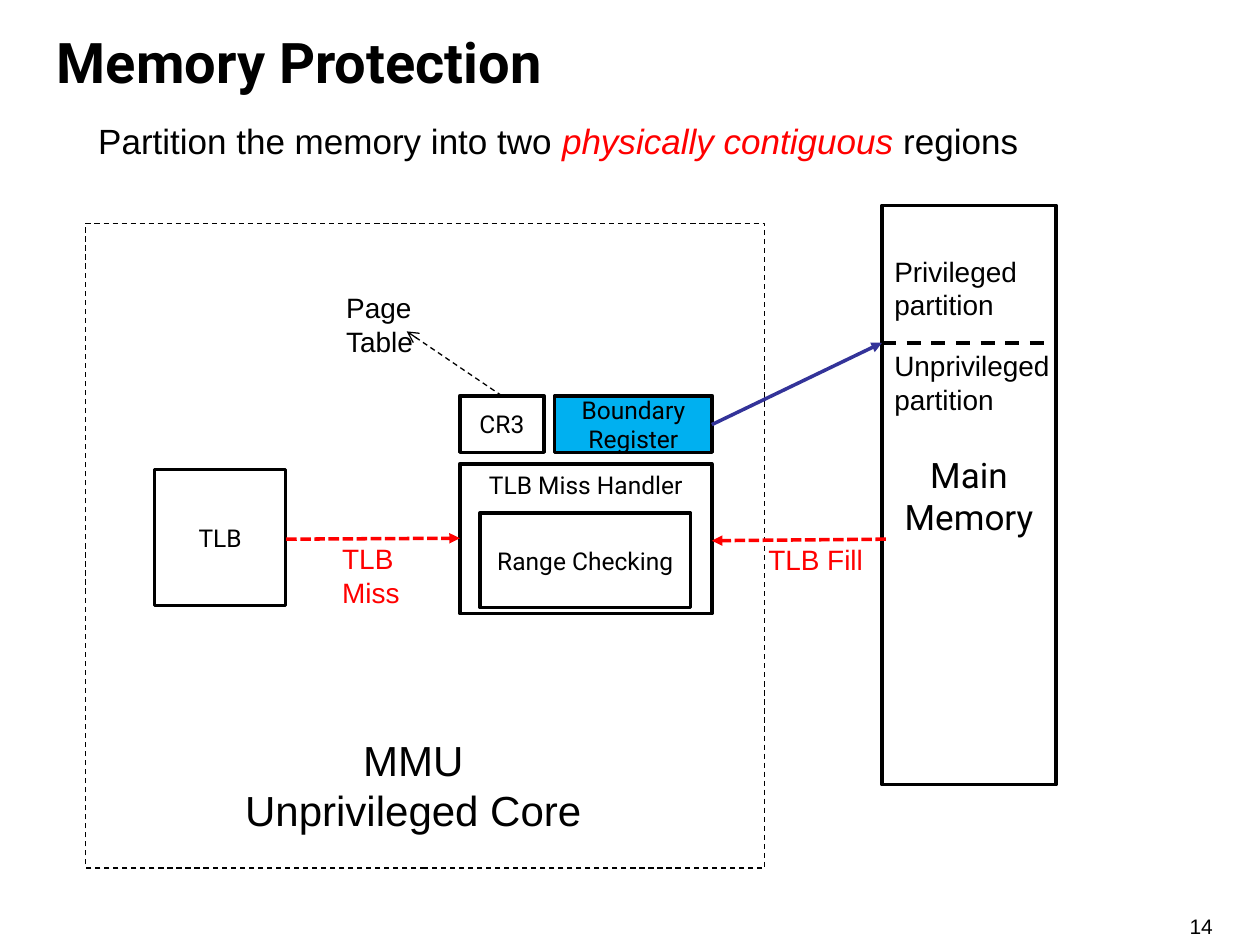
from lxml import etree
from pptx import Presentation
from pptx.dml.color import RGBColor
from pptx.enum.dml import MSO_LINE
from pptx.enum.shapes import MSO_CONNECTOR, MSO_SHAPE
from pptx.enum.text import MSO_ANCHOR, PP_ALIGN
from pptx.oxml.ns import qn
from pptx.util import Cm, Pt

DASH, DOT = MSO_LINE.DASH, MSO_LINE.SQUARE_DOT
TOP, MIDDLE = MSO_ANCHOR.TOP, MSO_ANCHOR.MIDDLE
LEFT, CENTER = PP_ALIGN.LEFT, PP_ALIGN.CENTER

THEME = {
    "black": "000000", "red": "FF0000", "blue": "333399", "cyan": "00B0F0",
    "heading_font": "Roboto", "body_font": "Arial",
    "title": 32, "large": 24, "medium": 20, "label": 16, "box": 14, "page": 12,
    "thick": 2, "thin": 0.75,
}

# Text is a list of paragraphs; a paragraph is a list of (text, emphasised) runs or a string.
TITLE = ["Memory Protection"]
TITLE_AREA = (0.89, 0.18, 23.65, 2.11)
STATEMENT = [[("Partition the memory into two ", False),
              ("physically contiguous", True), (" regions", False)]]

# Areas are left, top, width, height in centimetres.
BOXES = [
    (["TLB"], (3.12, 9.47, 2.64, 2.74), {}),
    (["TLB Miss Handler"], (9.27, 9.35, 5.08, 3.02), {"anchor": TOP}),
    (["CR3"], (9.27, 7.98, 1.7, 1.14), {}),
    (["Boundary", "Register"], (11.18, 7.98, 3.18, 1.14), {"fill": "cyan"}),
    (["Range Checking"], (9.68, 10.34, 4.24, 1.91), {}),
    (["Main Memory"], (17.78, 4.14, 3.51, 11.68), {"size": "medium", "inset": 0.13}),
    ([], (1.73, 4.5, 13.69, 13), {"weight": "thin", "dash": DASH}),
]
LABELS = [
    (STATEMENT, (1.73, 2.29, 20.52, 1.12), {"size": "medium"}),
    (["Page Table"], (6.73, 5.74, 2.97, 1.63), {}),
    (["Privileged partition"], (17.78, 5, 3.38, 1.63), {}),
    (["Unprivileged partition"], (17.78, 6.91, 3.96, 1.63), {}),
    (["MMU", "Unprivileged Core"], (3.91, 14.68, 8.84, 2.31),
     {"size": "large", "align": CENTER}),
    (["TLB", "Miss"], (6.65, 10.8, 1.73, 1.63), {"color": "red"}),
    (["TLB Fill"], (15.24, 10.82, 2.44, 0.94), {"color": "red", "wrap": False}),
    (["14"], (23.98, 18.42, 1.3, 0.51), {"size": "page", "inset": 0}),
]
LINES = [
    ((10.12, 7.98), (8.2, 6.68), {"weight": "thin", "dash": DASH, "arrow": "arrow"}),
    ((17.78, 6.91), (21.16, 6.91), {"dash": DASH}),
    ((14.35, 8.56), (17.78, 6.91), {"color": "blue", "arrow": "triangle"}),
    ((5.77, 10.87), (9.27, 10.85), {"color": "red", "dash": DOT, "arrow": "triangle"}),
    ((17.86, 10.87), (14.35, 10.9), {"color": "red", "dash": DOT, "arrow": "triangle"}),
]


def theme_color(name):
    return RGBColor.from_string(THEME[name])


def write_text(frame, paragraphs, size="label", font="body_font", color="black",
               bold=False, align=LEFT, anchor=TOP, inset=None, wrap=True):
    """Fill a text frame; emphasised runs become red italics."""
    frame.word_wrap = wrap
    frame.vertical_anchor = anchor
    if inset is not None:
        frame.margin_left = frame.margin_right = Cm(inset)
        frame.margin_top = frame.margin_bottom = Cm(inset)
    for index, runs in enumerate(paragraphs):
        paragraph = frame.add_paragraph() if index else frame.paragraphs[0]
        paragraph.alignment = align
        for text, emphasised in [(runs, False)] if isinstance(runs, str) else runs:
            run = paragraph.add_run()
            run.text = text
            run.font.name = THEME[font]
            run.font.size = Pt(THEME[size])
            run.font.bold = bold
            run.font.italic = emphasised
            run.font.color.rgb = theme_color("red" if emphasised else color)


def format_line(line, color="black", weight="thick", dash=None):
    line.color.rgb = theme_color(color)
    line.width = Pt(THEME[weight])
    if dash is not None:
        line.dash_style = dash


def add_box(slide, paragraphs, area, fill=None, weight="thick", dash=None,
            size="box", anchor=MIDDLE, inset=None):
    shape = slide.shapes.add_shape(MSO_SHAPE.RECTANGLE, *map(Cm, area))
    shape.shadow.inherit = False
    if fill:
        shape.fill.solid()
        shape.fill.fore_color.rgb = theme_color(fill)
    else:
        shape.fill.background()
    format_line(shape.line, weight=weight, dash=dash)
    write_text(shape.text_frame, paragraphs, size=size, font="heading_font",
               align=CENTER, anchor=anchor, inset=inset)


def add_label(slide, paragraphs, area, **text_format):
    shape = slide.shapes.add_textbox(*map(Cm, area))
    write_text(shape.text_frame, paragraphs, **text_format)


def add_line(slide, start, end, arrow=None, **line_format):
    connector = slide.shapes.add_connector(MSO_CONNECTOR.STRAIGHT, *map(Cm, start + end))
    format_line(connector.line, **line_format)
    if arrow:
        etree.SubElement(connector.line._get_or_add_ln(), qn("a:tailEnd"), type=arrow)
    etree.SubElement(connector._element.spPr, qn("a:effectLst"))


def main():
    presentation = Presentation()
    presentation.slide_width, presentation.slide_height = Cm(25.4), Cm(19.05)
    slide = presentation.slides.add_slide(presentation.slide_layouts[5])
    title = slide.shapes.title
    title.left, title.top, title.width, title.height = map(Cm, TITLE_AREA)
    write_text(title.text_frame, TITLE, size="title", font="heading_font",
               bold=True, anchor=MIDDLE)
    for add, items in ((add_box, BOXES), (add_label, LABELS), (add_line, LINES)):
        for first, second, options in items:
            add(slide, first, second, **options)
    presentation.save("out.pptx")


if __name__ == "__main__":
    main()
